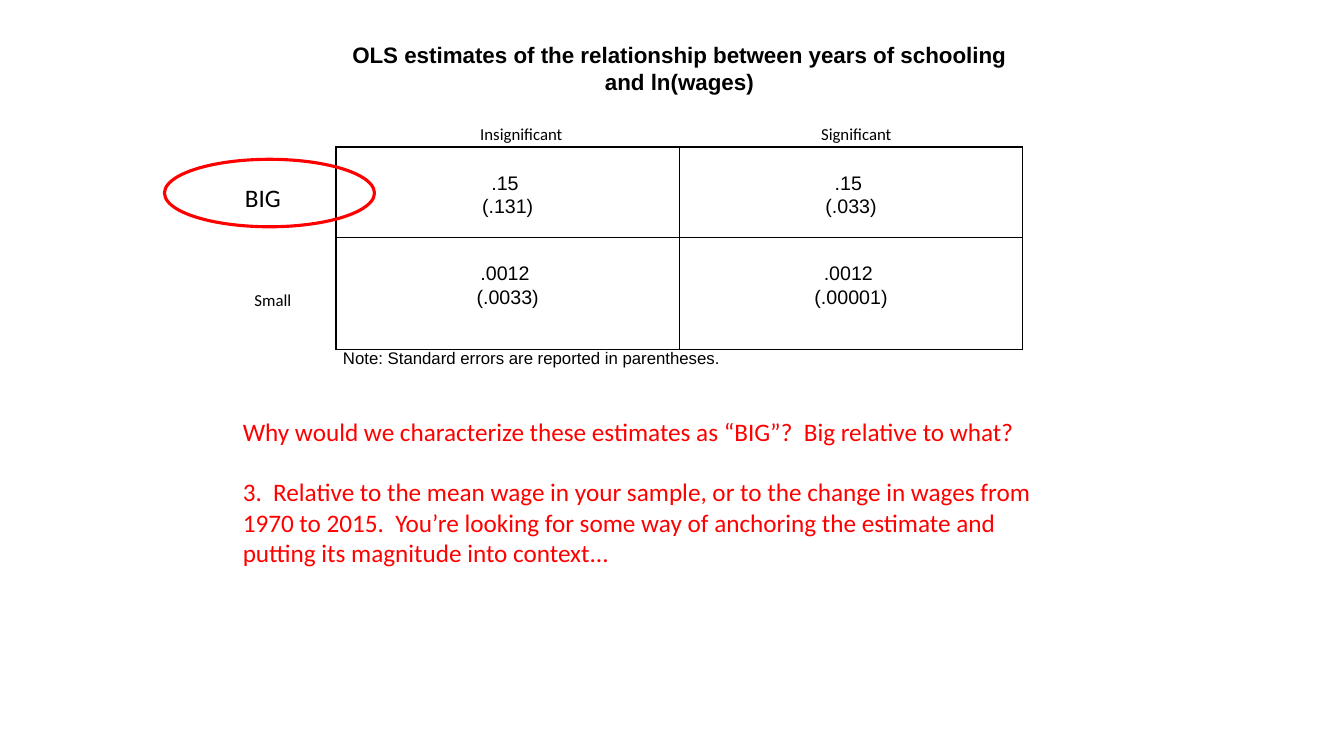
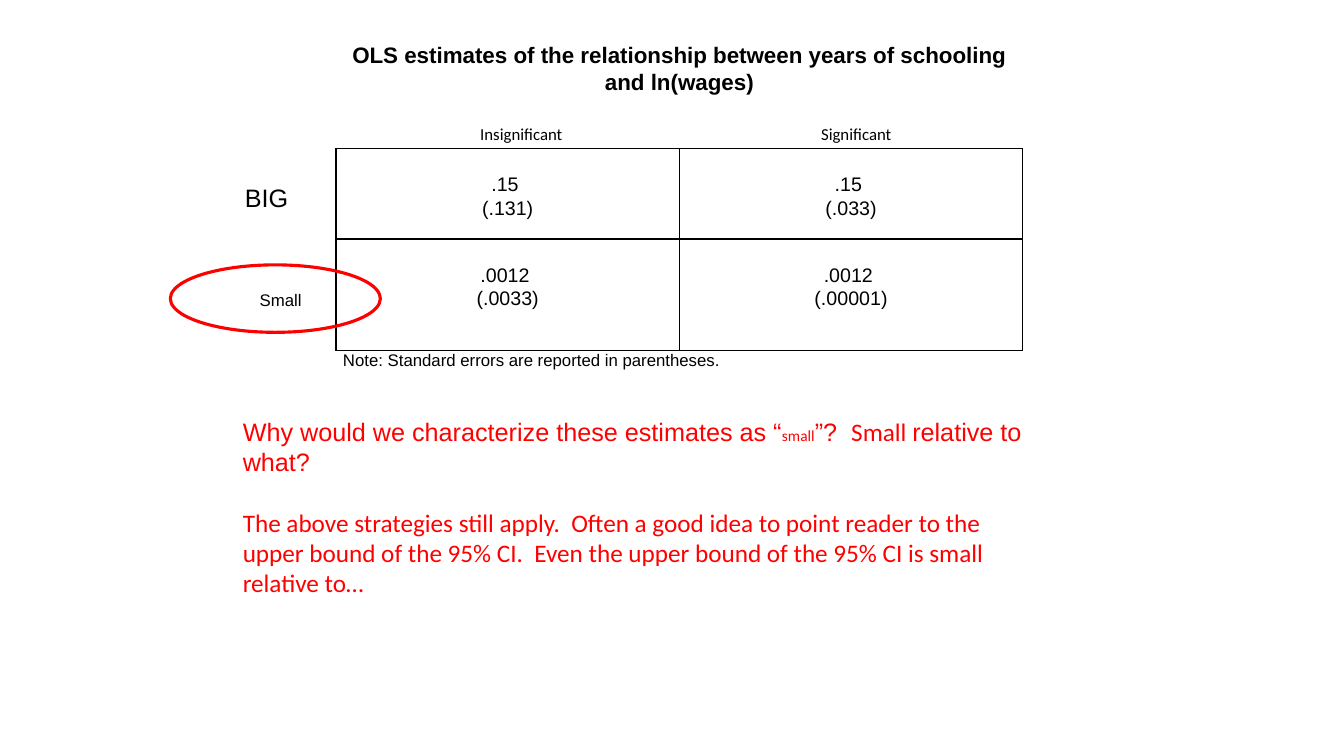
"""Build two slides that discuss the size of OLS wage estimates."""
from dataclasses import dataclass

import lxml.etree
import pptx
import pptx.dml.color
import pptx.enum.shapes
import pptx.enum.text
import pptx.oxml.ns
import pptx.presentation
import pptx.slide
import pptx.table
import pptx.text.text
import pptx.util

Pt = pptx.util.Pt
qn = pptx.oxml.ns.qn
ALIGN = pptx.enum.text.PP_ALIGN

COLORS = {"ink": "000000", "accent": "FF0000"}
SANS, BODY = "Arial", "Calibri"
TABLE_LEFT, TABLE_TOP, COLUMN_WIDTH = 240, 30, 245.3
ROW_HEIGHTS = (75, 64.6, 79.9, 28)
HEADING_TABS = (98, 341.5)
ESTIMATES = (
    ((".15 ", "(.131)"), (".15 ", "(.033)")),
    ((".0012 ", "(.0033)"), (".0012 ", "(.00001)")),
)
CELL_FORMAT = {"margin_left": Pt(5), "margin_right": Pt(5),
               "margin_top": Pt(0), "margin_bottom": Pt(0)}


@dataclass(frozen=True)
class Run:
    text: str
    font: str = BODY
    size: float = 18
    color: str = "ink"
    bold: bool = False


@dataclass(frozen=True)
class Line:
    runs: tuple[Run, ...]
    align: ALIGN = ALIGN.LEFT
    spacing: float = 1.0
    before: float = 0
    tabs: tuple[float, ...] = ()


@dataclass(frozen=True)
class Box:
    left: float
    top: float
    width: float
    height: float


@dataclass(frozen=True)
class Discussion:
    label_font: str
    small_left: float
    ring: Box
    question: tuple[Run, ...]
    answer: str


def red(text: str, font: str = BODY, size: float = 18) -> Run:
    return Run(text, font, size, "accent")


DISCUSSIONS = (
    Discussion(
        BODY, 174.7, Box(117.5, 113.8, 150, 48.2),
        (red("Why would we characterize these estimates as “BIG”?  Big relative to what?"),),
        "3.  Relative to the mean wage in your sample, or to the change in wages from "
        "1970 to 2015.  You’re looking for some way of anchoring the estimate and "
        "putting its magnitude into context..."),
    Discussion(
        SANS, 178.4, Box(121.7, 189.2, 150, 48.2),
        (red("Why would we characterize these estimates as “", SANS), red("small", size=11),
         red("”?  ", SANS), red("Small "), red("relative to what?", SANS)),
        "The above strategies still apply.  Often a good idea to point reader to the "
        "upper bound of the 95% CI.  Even the upper bound of the 95% CI is small "
        "relative to…"),
)


def rgb(name: str) -> pptx.dml.color.RGBColor:
    return pptx.dml.color.RGBColor.from_string(COLORS[name])


def apply(target: object, values: dict) -> None:
    for attribute, value in values.items():
        setattr(target, attribute, value)


def write(frame: pptx.text.text.TextFrame, lines: tuple[Line, ...]) -> None:
    frame.word_wrap = True
    for index, line in enumerate(lines):
        paragraph = frame.add_paragraph() if index else frame.paragraphs[0]
        if line.tabs:
            stops = lxml.etree.SubElement(paragraph._p.get_or_add_pPr(), qn("a:tabLst"))
            for stop in line.tabs:
                lxml.etree.SubElement(stops, qn("a:tab"), pos=str(int(Pt(stop))), algn="l")
        apply(paragraph, {"alignment": line.align, "line_spacing": line.spacing,
                          "space_before": Pt(line.before)})
        for part in line.runs:
            run = paragraph.add_run()
            run.text = part.text
            apply(run.font, {"name": part.font, "size": Pt(part.size), "bold": part.bold})
            run.font.color.rgb = rgb(part.color)


def add_text(slide: pptx.slide.Slide, box: Box, *lines: Line) -> None:
    textbox = slide.shapes.add_textbox(
        Pt(box.left), Pt(box.top), Pt(box.width), Pt(box.height))
    write(textbox.text_frame, lines)


def set_borders(cell: pptx.table._Cell, visible: str) -> None:
    properties = cell._tc.get_or_add_tcPr()
    for side in "LRTB":
        edge = lxml.etree.SubElement(properties, qn(f"a:ln{side}"), w=str(int(Pt(1))))
        if side in visible:
            fill = lxml.etree.SubElement(edge, qn("a:solidFill"))
            lxml.etree.SubElement(fill, qn("a:srgbClr"), val=COLORS["ink"])
        else:
            lxml.etree.SubElement(edge, qn("a:noFill"))
    cell.fill.background()


def add_estimates(slide: pptx.slide.Slide) -> None:
    frame = slide.shapes.add_table(
        len(ROW_HEIGHTS), 2, Pt(TABLE_LEFT), Pt(TABLE_TOP),
        Pt(2 * COLUMN_WIDTH), Pt(sum(ROW_HEIGHTS)))
    table = frame.table
    apply(table, {"first_row": False, "horz_banding": False})
    for column in table.columns:
        column.width = Pt(COLUMN_WIDTH)
    for row, height, visible in zip(table.rows, ROW_HEIGHTS, ("B", "LRTB", "LRTB", "T")):
        row.height = Pt(height)
        for cell in row.cells:
            apply(cell, CELL_FORMAT)
            set_borders(cell, visible)
    for spanning in (0, len(ROW_HEIGHTS) - 1):
        table.cell(spanning, 0).merge(table.cell(spanning, 1))

    title = Run("OLS estimates of the relationship between years of schooling and ln(wages)",
                SANS, 16, bold=True)
    headings = Run("\tInsignificant\tSignificant", size=12)
    write(table.cell(0, 0).text_frame,
          (Line((title,), ALIGN.CENTER, 1.07),
           Line((headings,), spacing=1.07, before=19.7, tabs=HEADING_TABS)))
    for row_index, estimates in enumerate(ESTIMATES, start=1):
        for column_index, values in enumerate(estimates):
            cell = table.cell(row_index, column_index)
            cell.margin_top = Pt(17.2)
            write(cell.text_frame, tuple(
                Line((Run(value, SANS, 14),), ALIGN.CENTER, 1.07) for value in values))
    note = Run("Note: Standard errors are reported in parentheses.", SANS, 12)
    write(table.cell(len(ROW_HEIGHTS) - 1, 0).text_frame, (Line((note,)),))


def add_ring(slide: pptx.slide.Slide, box: Box) -> None:
    ring = slide.shapes.add_shape(
        pptx.enum.shapes.MSO_SHAPE.OVAL,
        Pt(box.left), Pt(box.top), Pt(box.width), Pt(box.height))
    ring.shadow.inherit = False
    ring.fill.background()
    ring.line.color.rgb = rgb("accent")
    ring.line.width = Pt(2.25)


def add_discussion(deck: pptx.presentation.Presentation, item: Discussion) -> None:
    slide = deck.slides.add_slide(deck.slide_layouts[6])
    add_estimates(slide)
    add_text(slide, Box(167.8, 126.7, 60, 29), Line((Run("BIG", item.label_font),)))
    add_text(slide, Box(item.small_left, 203.6, 60, 22),
             Line((Run("Small", item.label_font, 12),)))
    add_ring(slide, item.ring)
    add_text(slide, Box(166.3, 293.8, 584.6, 182),
             Line(item.question), Line((red(item.answer),), before=21.5))


def main() -> None:
    deck = pptx.Presentation()
    apply(deck, {"slide_width": Pt(960), "slide_height": Pt(540)})
    for item in DISCUSSIONS:
        add_discussion(deck, item)
    deck.save("out.pptx")


if __name__ == "__main__":
    main()
